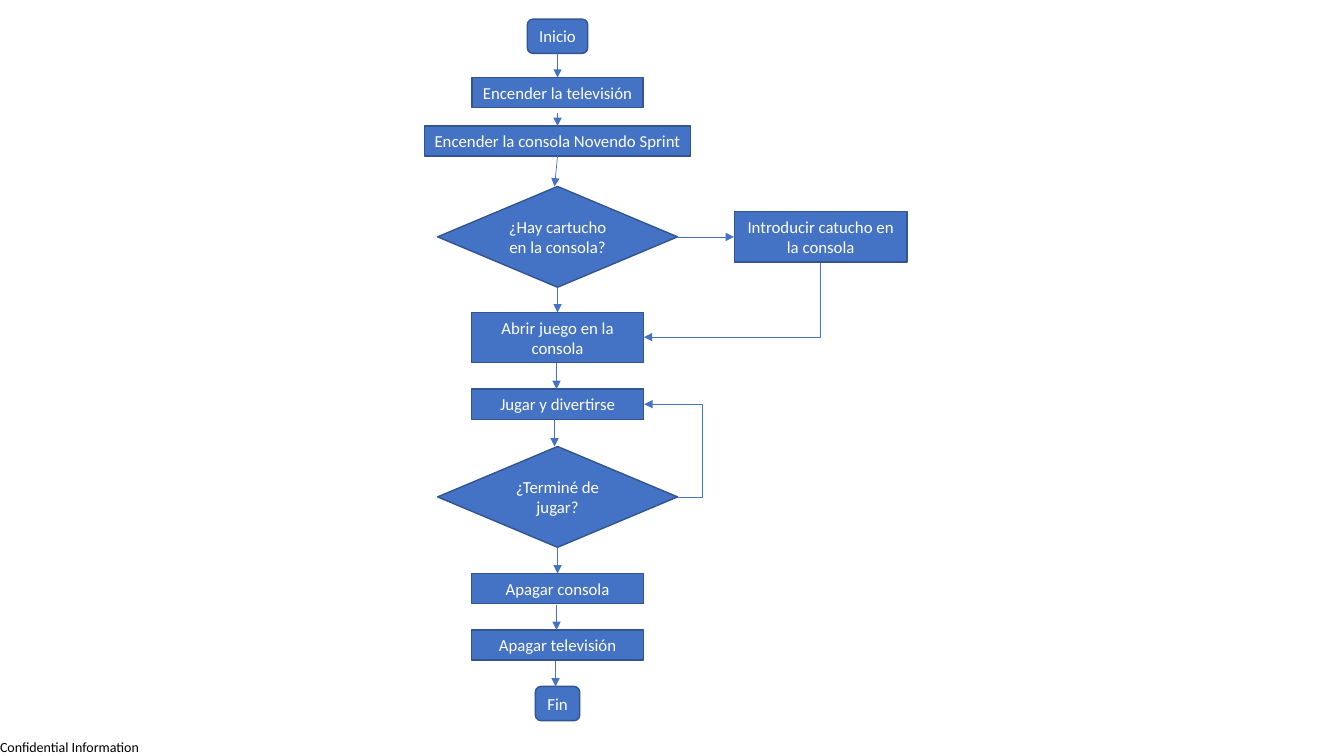
import pptx
import pptx.util
import pptx.dml.color
import pptx.enum.shapes
import pptx.enum.text
import pptx.oxml
import pptx.oxml.ns
import lxml.etree
from dataclasses import dataclass

Inches = pptx.util.Inches
Pt = pptx.util.Pt
RGB = pptx.dml.color.RGBColor.from_string
SHAPE = pptx.enum.shapes.MSO_SHAPE
LINE = pptx.enum.shapes.MSO_CONNECTOR
qn = pptx.oxml.ns.qn


@dataclass
class Theme:
    """Colours, font and sizes of the slide."""
    fill: str = "4472C4"
    outline: str = "325491"
    light: str = "FFFFFF"
    dark: str = "000000"
    font: str = "Calibri"
    step_size: int = 12
    footer_size: int = 10


theme = Theme()


def write(sp, text, size, color):
    """Put one styled paragraph into a shape and return its text frame."""
    tf = sp.text_frame
    tf.text = text
    tf.auto_size = pptx.enum.text.MSO_AUTO_SIZE.SHAPE_TO_FIT_TEXT
    font = tf.paragraphs[0].runs[0].font
    font.name, font.size = theme.font, Pt(size)
    font.color.rgb = RGB(color)
    return tf


def add_arrow(kind, x1, y1, x2, y2):
    """Draw a thin connector with a triangle at its end."""
    cxn = s.shapes.add_connector(kind, Inches(x1), Inches(y1), Inches(x2), Inches(y2))
    cxn.line.color.rgb = RGB(theme.fill)
    cxn.line.width = Pt(0.5)
    ln = cxn.line._get_or_add_ln()
    lxml.etree.SubElement(ln, qn("a:tailEnd"), type="triangle")
    lxml.etree.SubElement(cxn._element.spPr, qn("a:effectLst"))
    return cxn


prs = pptx.Presentation()
prs.slide_width, prs.slide_height = Inches(13.33), Inches(7.5)
s = prs.slides.add_slide(prs.slide_layouts[6])

# Footer
footer = s.shapes.add_textbox(Inches(0), Inches(7.33), Inches(1.42), Inches(0.17))
tf = write(footer, "Confidential Information", theme.footer_size, theme.dark)
tf.word_wrap = True
tf.margin_left = tf.margin_right = tf.margin_top = tf.margin_bottom = 0

# Steps: shape, text, centre x, top, width, height, wrap
MAIN, SIDE = 5.53, 8.14
TERMINAL = SHAPE.FLOWCHART_ALTERNATE_PROCESS
PROCESS = SHAPE.RECTANGLE
DECISION = SHAPE.FLOWCHART_DECISION
steps = [
    (TERMINAL, "Inicio", MAIN, 0.19, 0.6, 0.34, False),
    (PROCESS, "Encender la televisión", MAIN, 0.77, 1.7, 0.3, False),
    (PROCESS, "Encender la consola Novendo Sprint", MAIN, 1.25, 2.64, 0.3, False),
    (DECISION, "¿Hay cartucho en la consola?", MAIN, 1.85, 2.38, 1, True),
    (PROCESS, "Introducir catucho en la consola", SIDE, 2.1, 1.71, 0.5, True),
    (PROCESS, "Abrir juego en la consola", MAIN, 3.1, 1.71, 0.5, True),
    (PROCESS, "Jugar y divertirse", MAIN, 3.86, 1.71, 0.3, True),
    (DECISION, "¿Terminé de jugar?", MAIN, 4.43, 2.38, 1, True),
    (PROCESS, "Apagar consola", MAIN, 5.69, 1.71, 0.3, True),
    (PROCESS, "Apagar televisión", MAIN, 6.25, 1.71, 0.3, True),
    (TERMINAL, "Fin", MAIN, 6.81, 0.44, 0.34, False),
]
for kind, text, center, top, width, height, wrap in steps:
    sp = s.shapes.add_shape(kind, Inches(center - width / 2), Inches(top),
                            Inches(width), Inches(height))
    sp.shadow.inherit = False
    sp.fill.solid()
    sp.fill.fore_color.rgb = RGB(theme.fill)
    sp.line.color.rgb = RGB(theme.outline)
    sp.line.width = Pt(1)
    tf = write(sp, text, theme.step_size, theme.light)
    tf.word_wrap = wrap
    tf.vertical_anchor = pptx.enum.text.MSO_ANCHOR.MIDDLE
    tf.paragraphs[0].alignment = pptx.enum.text.PP_ALIGN.CENTER

# Straight arrows: from x, y to x, y
arrows = [
    (MAIN, 0.53, MAIN, 0.77),
    (MAIN, 1.12, MAIN, 1.25),
    (MAIN, 1.55, 5.5, 1.85),
    (MAIN, 2.86, MAIN, 3.1),
    (5.52, 3.6, 5.52, 3.86),
    (5.5, 4.16, 5.5, 4.43),
    (MAIN, 5.43, MAIN, 5.69),
    (5.52, 6, 5.52, 6.25),
    (5.51, 6.56, 5.51, 6.81),
    (6.72, 2.35, 7.28, 2.35),
]
for ends in arrows:
    add_arrow(LINE.STRAIGHT, *ends)

# Cartridge step back to the main flow: a single bend, turned a quarter
turn = add_arrow(LINE.ELBOW, 6.89, 2.1, 7.63, 3.85)
turn._element.spPr.find(qn("a:xfrm")).set("rot", "5400000")
turn._element.spPr.find(qn("a:prstGeom")).set("prst", "bentConnector2")

# Loop back to playing: the bend lies to the right of both ends
loop = add_arrow(LINE.ELBOW, 6.72, 4.93, 6.39, 4.01)
geom = loop._element.spPr.find(qn("a:prstGeom"))
lxml.etree.SubElement(geom.find(qn("a:avLst")), qn("a:gd"), name="adj1", fmla="val -74100")

prs.save("out.pptx")
